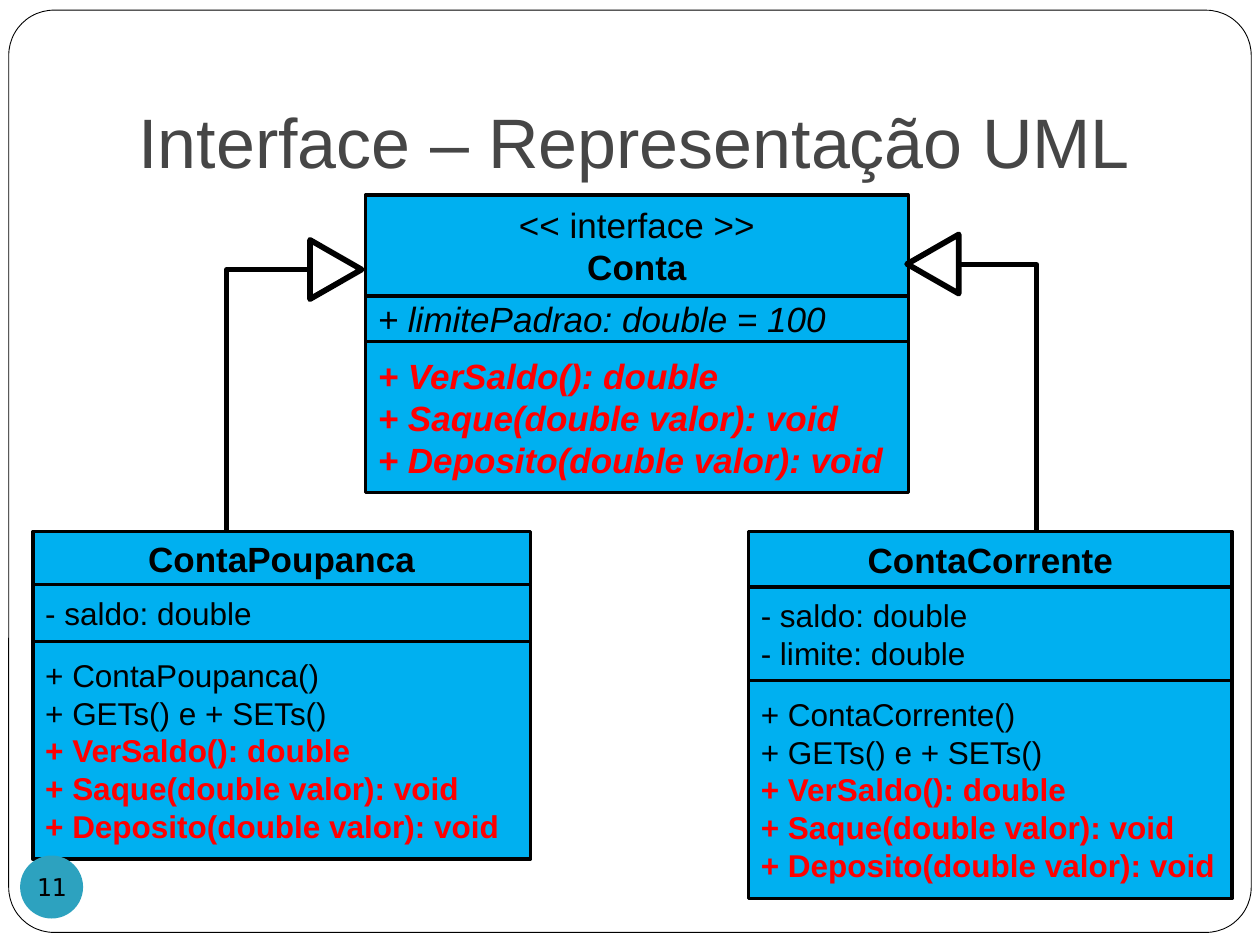
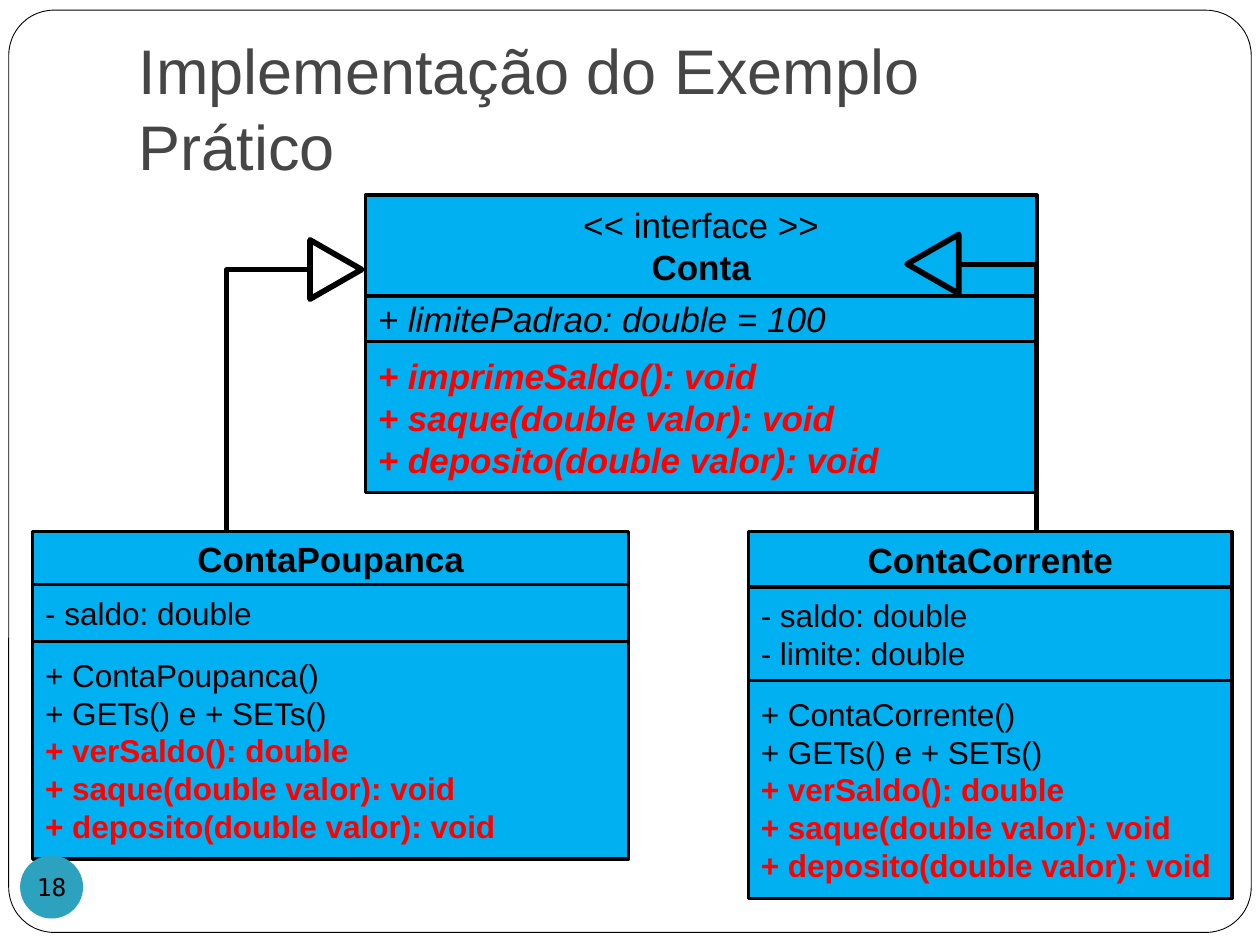
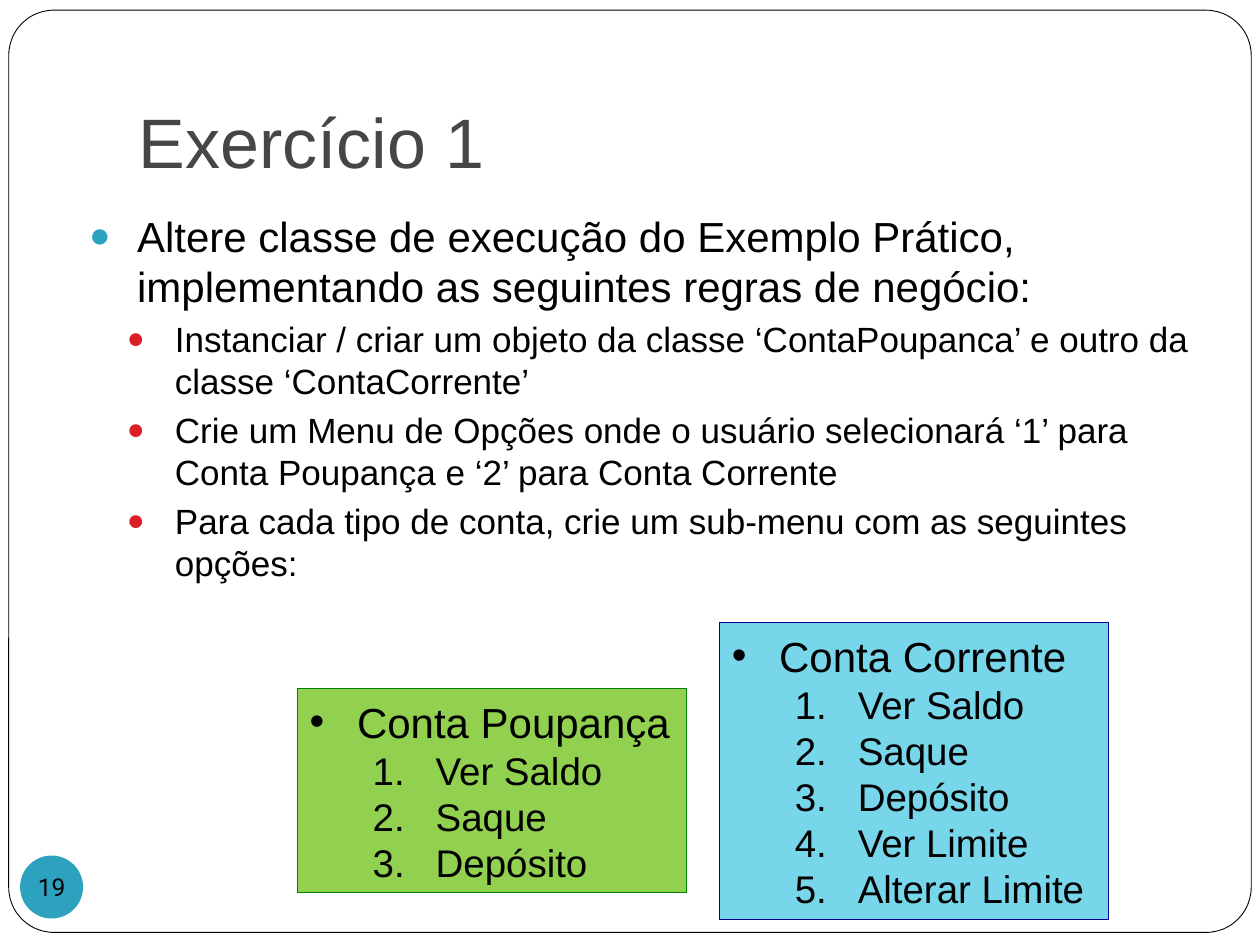
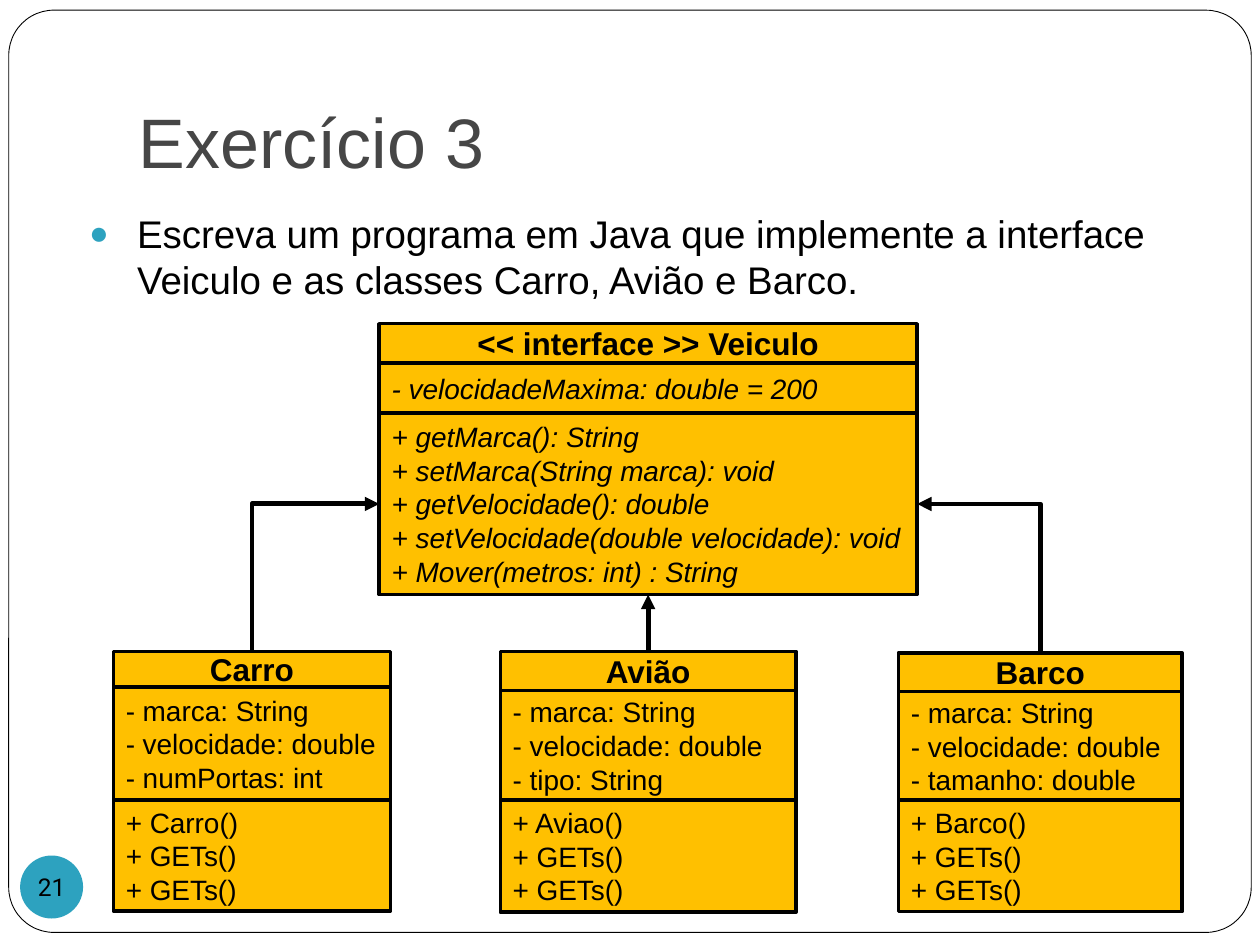
from dataclasses import dataclass

from lxml import etree
from pptx import Presentation
from pptx.dml import color
from pptx.enum import shapes, text
from pptx.oxml import ns
from pptx.util import Pt

FONT = "Arial"
BLACK, WHITE, RED = "000000", "FFFFFF", "FF0000"
TITLE_GREY, TEAL, CRIMSON = "464646", "2DA2BF", "DA1F28"
ACCOUNT_BLUE, VEHICLE_AMBER = "00B0F0", "FFC000"


@dataclass(frozen=True)
class Line:
    text: str
    size: float
    bold: bool = False
    italic: bool = False
    ink: str = BLACK
    centered: bool = False
    font: str = FONT


@dataclass(frozen=True)
class Bullet:
    indent: float
    hanging: float
    level: int = 0
    before: float = 0
    symbol: str = ""
    ink: str = ""
    percent: int = 100


def lines(size, *texts, **style):
    return [Line(content, size, **style) for content in texts]


def rgb(value):
    return color.RGBColor.from_string(value)


def add_xml(parent, tag, **attributes):
    return etree.SubElement(parent, ns.qn(tag), attributes)


class Slides:
    def __init__(self):
        self.deck = Presentation()
        self.deck.slide_width, self.deck.slide_height = Pt(720), Pt(540)
        self.page = None

    def start(self, title, size=40, width=612):
        self.page = self.deck.slides.add_slide(self.deck.slide_layouts[5])
        if len(self.deck.slides) == 1:
            self.share_frame()
        box = self.page.shapes.title
        box.left, box.top, box.width, box.height = Pt(72), Pt(21.6), Pt(width), Pt(90)
        frame = box.text_frame
        frame.auto_size = text.MSO_AUTO_SIZE.NONE
        frame.vertical_anchor = text.MSO_ANCHOR.BOTTOM
        frame.margin_bottom = Pt(7.2)
        self.set_lines(box, [Line(title, size, ink=TITLE_GREY)])

    def share_frame(self):
        border = self.shape("ROUNDED_RECTANGLE", 5, 5.8, 710, 527, WHITE, 0.5)
        border.adjustments[0] = 0.049
        self.deck.slide_master.shapes.element.insert(2, border.element)

    def set_lines(self, box, content):
        frame = box.text_frame
        frame.text = "\n".join(line.text for line in content)
        for para, line in zip(frame.paragraphs, content):
            para.alignment = text.PP_ALIGN.CENTER if line.centered else text.PP_ALIGN.LEFT
            font = para.runs[0].font
            font.name, font.size = line.font, Pt(line.size)
            font.bold, font.italic = line.bold, line.italic
            font.color.rgb = rgb(line.ink)

    def bullet(self, para, style):
        para.level = style.level
        para.space_before = Pt(style.before)
        properties = para._p.get_or_add_pPr()
        properties.set("marL", str(Pt(style.indent)))
        properties.set("indent", str(-Pt(style.hanging)))
        if style.ink:
            add_xml(add_xml(properties, "a:buClr"), "a:srgbClr", val=style.ink)
        add_xml(properties, "a:buSzPct", val=str(style.percent * 1000))
        add_xml(properties, "a:buFont", typeface=FONT)
        if style.symbol:
            add_xml(properties, "a:buChar", char=style.symbol)
        else:
            add_xml(properties, "a:buAutoNum", type="arabicPeriod")

    def shape(self, kind, left, top, width, height, fill=None, weight=0,
              ink=BLACK, parent=None):
        box = (parent or self.page).shapes.add_shape(
            shapes.MSO_SHAPE[kind], Pt(left), Pt(top), Pt(width), Pt(height))
        box.shadow.inherit = False
        if fill:
            box.fill.solid()
            box.fill.fore_color.rgb = rgb(fill)
        else:
            box.fill.background()
        if weight:
            box.line.color.rgb = rgb(ink)
            box.line.width = Pt(weight)
        else:
            box.line.fill.background()
        return box

    def badge(self, number, font):
        box = self.shape("OVAL", 11.5, 488.9, 36, 36, TEAL)
        frame = box.text_frame
        frame.word_wrap = False
        frame.margin_left = frame.margin_right = frame.margin_top = frame.margin_bottom = 0
        self.set_lines(box, [Line(str(number), 14, centered=True, font=font)])

    def class_box(self, left, width, edges, rows, fill):
        group = self.page.shapes.add_group_shape()
        boxes = []
        for top, bottom, content in zip(edges, edges[1:], rows):
            box = self.shape("RECTANGLE", left, top, width, bottom - top, fill, 2, parent=group)
            self.set_lines(box, content)
            boxes.append(box)
        return boxes

    def style_connector(self, connector, arrow):
        connector.line.color.rgb = rgb(BLACK)
        connector.line.width = Pt(2.75)
        if arrow:
            add_xml(connector.line._get_or_add_ln(), "a:tailEnd", type="triangle")
        add_xml(connector.element.spPr, "a:effectLst")

    def rising_elbow(self, start_x, start_y, end_x, end_y, arrow=False):
        rise, run = start_y - end_y, abs(end_x - start_x)
        left = (start_x + end_x - rise) / 2
        top = (start_y + end_y - run) / 2
        connector = self.page.shapes.add_connector(
            shapes.MSO_CONNECTOR.ELBOW, Pt(left), Pt(top), Pt(left + rise), Pt(top + run))
        properties = connector.element.spPr
        properties.find(ns.qn("a:prstGeom")).set("prst", "bentConnector2")
        transform = properties.find(ns.qn("a:xfrm"))
        rightward = end_x > start_x
        transform.set("rot", str((90 if rightward else 270) * 60000))
        transform.set("flipV", "1")
        if rightward:
            transform.set("flipH", "1")
        self.style_connector(connector, arrow)

    def straight_arrow(self, lower, upper):
        connector = self.page.shapes.add_connector(shapes.MSO_CONNECTOR.STRAIGHT, 0, 0, 0, 0)
        connector.begin_connect(lower, 0)
        connector.end_connect(upper, 2)
        self.style_connector(connector, True)

    def triangle(self, left, top, rotation):
        self.shape("ISOSCELES_TRIANGLE", left, top, 33.8, 29.5, weight=3.25).rotation = rotation

    def body(self, height, content, bullets):
        box = self.page.shapes.add_textbox(Pt(36), Pt(116.6), Pt(669.6), Pt(height))
        box.text_frame.word_wrap = True
        self.set_lines(box, content)
        for para, style in zip(box.text_frame.paragraphs, bullets):
            self.bullet(para, style)

    def menu(self, left, top, height, fill, ink, heading, options):
        box = self.shape("RECTANGLE", left, top, 222.5, height, fill, 0.75, ink)
        frame = box.text_frame
        frame.word_wrap = False
        frame.auto_size = text.MSO_AUTO_SIZE.SHAPE_TO_FIT_TEXT
        self.set_lines(box, lines(24, heading) + lines(22, *options))
        heading_para, *option_paras = frame.paragraphs
        self.bullet(heading_para, Bullet(27, 27, symbol="•"))
        for para in option_paras:
            self.bullet(para, Bullet(72, 36, level=1))


MAIN_POINT = Bullet(35.3, 27.4, 0, 5.8, "●", TEAL, 85)
SUB_POINT = Bullet(56.9, 27.4, 1, 3.8, "●", CRIMSON, 85)


def account_diagram(slides, number, interface_width, savings_width,
                    interface_methods, class_methods):
    interface_rows = [
        lines(20, "<< interface >>", centered=True) + lines(20, "Conta", bold=True, centered=True),
        lines(20, "+ limitePadrao: double = 100", italic=True),
        lines(20, *interface_methods, bold=True, italic=True, ink=RED),
    ]
    slides.class_box(208.8, interface_width, [111.6, 169.2, 195.1, 281.5],
                     interface_rows, ACCOUNT_BLUE)
    accounts = [
        ("ContaPoupanca", 18.7, savings_width, [303.8, 334.1, 366.5, 491],
         ["- saldo: double"]),
        ("ContaCorrente", 427.7, 276.5, [303.8, 335.5, 388.8, 513.4],
         ["- saldo: double", "- limite: double"]),
    ]
    for name, left, width, edges, fields in accounts:
        rows = [
            lines(20, name, bold=True, centered=True),
            lines(18, *fields),
            lines(18, f"+ {name}()", "+ GETs() e + SETs()")
            + lines(18, *class_methods, bold=True, ink=RED),
        ]
        slides.class_box(left, width, edges, rows, ACCOUNT_BLUE)
    slides.badge(number, "DejaVu Sans Mono")
    slides.rising_elbow(592.5, 303.8, 547.9, 151.2)
    slides.triangle(516.2, 136.1, 270)
    slides.rising_elbow(129.6, 303.8, 177.1, 154.1)
    slides.triangle(175, 139.3, 90)


def vehicle_diagram(slides):
    interface_rows = [
        lines(18, "<< interface >> Veiculo", bold=True, centered=True),
        lines(16, "- velocidadeMaxima: double = 200", italic=True),
        lines(16, "+ getMarca(): String", "+ setMarca(String marca): void",
              "+ getVelocidade(): double", "+ setVelocidade(double velocidade): void",
              "+ Mover(metros: int) : String", italic=True),
    ]
    left, width = 216.7, 307.4
    methods = slides.class_box(left, width, [185, 207.4, 235.9, 339.8],
                               interface_rows, VEHICLE_AMBER)[-1]
    vehicles = [
        ("Carro", "Carro", "numPortas: int", 64.8, 158.4, [372.2, 392.6, 457.2, 520.6]),
        ("Avião", "Aviao", "tipo: String", 285.9, 169, [372.2, 394.6, 457.2, 521.3]),
        ("Barco", "Barco", "tamanho: double", 513.4, 162, [373, 395.3, 457.2, 521]),
    ]
    heads = []
    for name, constructor, field, box_left, box_width, edges in vehicles:
        rows = [
            lines(18, name, bold=True, centered=True),
            lines(16, "- marca: String", "- velocidade: double", f"- {field}"),
            lines(16, f"+ {constructor}()", "+ GETs()", "+ GETs()"),
        ]
        heads.append(slides.class_box(box_left, box_width, edges, rows, VEHICLE_AMBER)[0])
    car, plane, boat = heads
    for head, side in ((car, left), (boat, left + width)):
        middle = head.left + head.width / 2
        slides.rising_elbow(middle / Pt(1), head.top / Pt(1), side, 288, arrow=True)
    slides.straight_arrow(plane, methods)


def main():
    slides = Slides()

    slides.start("Interface – Representação UML", width=633.6)
    methods = ["+ VerSaldo(): double", "+ Saque(double valor): void",
               "+ Deposito(double valor): void"]
    account_diagram(slides, 11, 310.3, 284.4, methods, methods)

    slides.start("Implementação do Exemplo Prático", 36, 560.2)
    transfers = ["+ saque(double valor): void", "+ deposito(double valor): void"]
    account_diagram(slides, 18, 383.8, 340.6, ["+ imprimeSaldo(): void"] + transfers,
                    ["+ verSaldo(): double"] + transfers)

    slides.start("Exercício 1")
    slides.badge(19, "Roboto")
    content = lines(24, "Altere classe de execução do Exemplo Prático, "
                    "implementando as seguintes regras de negócio:")
    content += lines(
        20,
        "Instanciar / criar um objeto da classe ‘ContaPoupanca’ e outro da classe ‘ContaCorrente’",
        "Crie um Menu de Opções onde o usuário selecionará ‘1’ para Conta Poupança "
        "e ‘2’ para Conta Corrente",
        "Para cada tipo de conta, crie um sub-menu com as seguintes opções:")
    slides.body(125.3, content, [MAIN_POINT] + [SUB_POINT] * 3)
    options = ["Ver Saldo", "Saque", "Depósito"]
    slides.menu(169.9, 393.5, 116.6, "92D050", "008000", "Conta Poupança", options)
    slides.menu(411.1, 355.7, 169.6, "78D6EA", "000099", "Conta Corrente",
                options + ["Ver Limite", "Alterar Limite"])

    slides.start("Exercício 3")
    slides.badge(21, "Roboto")
    slides.body(356.4, lines(22, "Escreva um programa em Java que implemente a interface "
                             "Veiculo e as classes Carro, Avião e Barco."), [MAIN_POINT])
    vehicle_diagram(slides)

    slides.deck.save("out.pptx")


if __name__ == "__main__":
    main()
